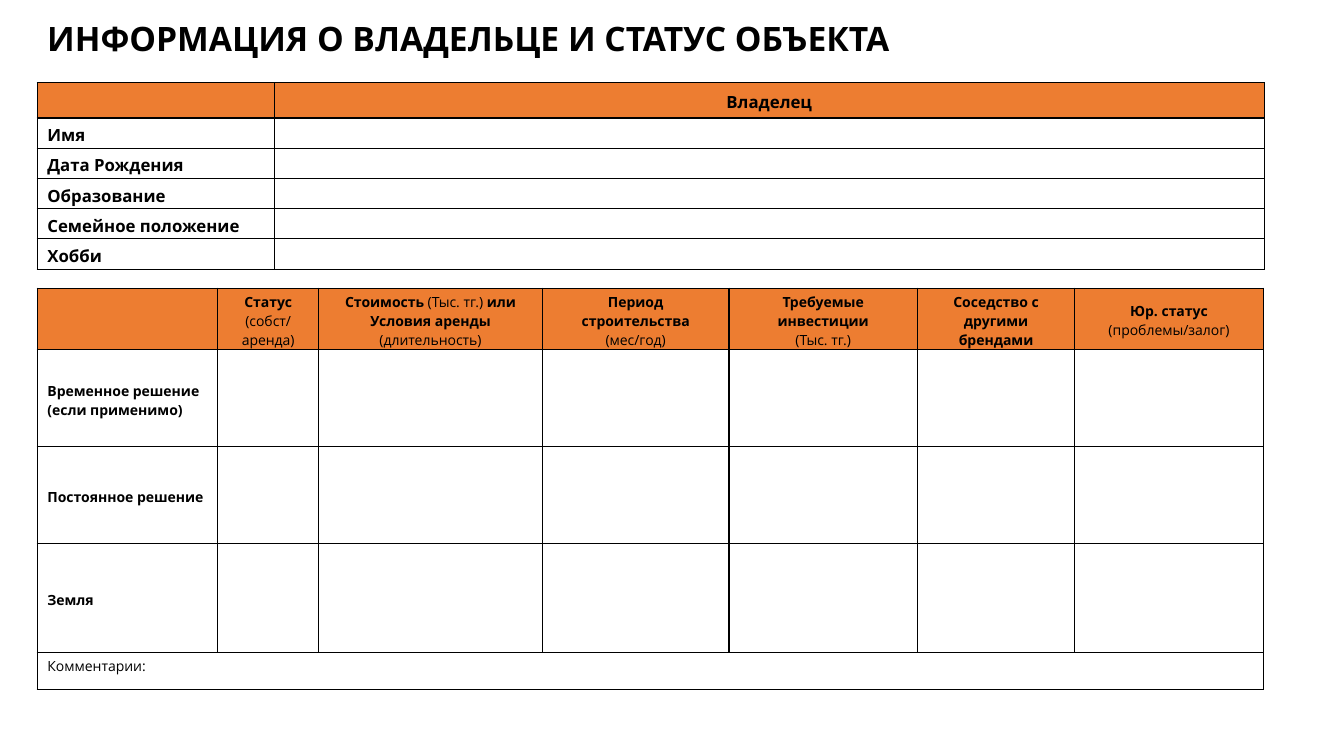
import dataclasses

import lxml.etree
import pptx
import pptx.dml.color
import pptx.enum.text
import pptx.oxml.ns
import pptx.util

Inches = pptx.util.Inches
ALIGN = pptx.enum.text.PP_ALIGN
ANCHOR = pptx.enum.text.MSO_ANCHOR
FONT = "Open Sans"
BLACK = "000000"
ORANGE = "ED7D31"
LEFT = 0.37


@dataclasses.dataclass
class Grid:
    top: float
    widths: list[float]
    heights: list[float]
    size: int
    header: list[str]
    labels: list[str]
    comment: str = ""


OWNER = Grid(
    top=0.82,
    widths=[2.35, 9.82],
    heights=[0.35] + [0.3] * 5,
    size=12,
    header=["", "**Владелец**"],
    labels=["**Имя**", "**Дата Рождения**", "**Образование**",
            "**Семейное положение**", "**Хобби**"],
)

STATUS = Grid(
    top=2.86,
    widths=[1.79, 1, 2.22, 1.85, 1.87, 1.56, 1.87],
    heights=[0.61, 0.96, 0.96, 1.08, 0.37],
    size=10,
    header=[
        "",
        "**Статус**\n(собст/\nаренда)",
        "**Стоимость **(Тыс. тг.) **или**\n**Условия аренды**\n(длительность)",
        "**Период**\n**строительства**\n(мес/год)",
        "**Требуемые**\n**инвестиции**\n(Тыс. тг.)",
        "**Соседство с**\n**другими**\n**брендами**",
        "**Юр. статус**\n(проблемы/залог)",
    ],
    labels=["**Временное решение**\n**(если применимо)**",
            "**Постоянное решение**", "**Земля**"],
    comment="Комментарии:",
)


def color(value: str) -> pptx.dml.color.RGBColor:
    return pptx.dml.color.RGBColor.from_string(value)


def write(tf, text: str, *, size: int, align=ALIGN.LEFT) -> None:
    for i, line in enumerate(text.split("\n")):
        p = tf.paragraphs[0] if i == 0 else tf.add_paragraph()
        p.alignment = align
        for j, part in enumerate(line.split("**")):
            if part:
                r = p.add_run()
                r.text = part
                r.font.name = FONT
                r.font.size = pptx.util.Pt(size)
                r.font.bold = j % 2 == 1
                r.font.color.rgb = color(BLACK)
        if not line:
            lxml.etree.SubElement(p._p, pptx.oxml.ns.qn("a:endParaRPr"), sz=str(size * 100))


def add_borders(cell, value: str, width: float) -> None:
    qn = pptx.oxml.ns.qn
    tcPr = cell._tc.get_or_add_tcPr()
    for i, side in enumerate(("lnL", "lnR", "lnT", "lnB")):
        ln = lxml.etree.Element(qn(f"a:{side}"), w=str(pptx.util.Pt(width)))
        fill = lxml.etree.SubElement(ln, qn("a:solidFill"))
        lxml.etree.SubElement(fill, qn("a:srgbClr"), val=value)
        tcPr.insert(i, ln)


def add_grid(s, grid: Grid) -> None:
    n = len(grid.widths)
    rows = [grid.header] + [[label] + [""] * (n - 1) for label in grid.labels]
    if grid.comment:
        rows.append([grid.comment] + [""] * (n - 1))
    table = s.shapes.add_table(
        len(rows), n, Inches(LEFT), Inches(grid.top),
        Inches(sum(grid.widths)), Inches(sum(grid.heights))).table
    table.first_row = False
    table.horz_banding = False
    for column, width in zip(table.columns, grid.widths):
        column.width = Inches(width)
    for i, (row, height) in enumerate(zip(rows, grid.heights)):
        table.rows[i].height = Inches(height)
        for j, text in enumerate(row):
            cell = table.cell(i, j)
            is_comment = bool(grid.comment) and i == len(rows) - 1
            cell.vertical_anchor = ANCHOR.TOP if is_comment else ANCHOR.MIDDLE
            cell.margin_top = Inches(0.04)
            cell.margin_bottom = Inches(0)
            if i == 0:
                cell.fill.solid()
                cell.fill.fore_color.rgb = color(ORANGE)
            else:
                cell.fill.background()
            add_borders(cell, BLACK, 1)
            write(cell.text_frame, text, size=grid.size,
                  align=ALIGN.CENTER if i == 0 else ALIGN.LEFT)
    if grid.comment:
        table.cell(len(rows) - 1, 0).merge(table.cell(len(rows) - 1, n - 1))


def add_title(s, text: str) -> None:
    sp = s.shapes.add_textbox(Inches(LEFT), Inches(0.13), Inches(12.74), Inches(0.5))
    tf = sp.text_frame
    tf.word_wrap = True
    write(tf, text, size=24)


def main() -> None:
    prs = pptx.Presentation()
    prs.slide_width = Inches(13.33)
    prs.slide_height = Inches(7.5)
    s = prs.slides.add_slide(prs.slide_layouts[6])
    add_title(s, "**ИНФОРМАЦИЯ О ВЛАДЕЛЬЦЕ И СТАТУС ОБЪЕКТА**")
    for grid in (OWNER, STATUS):
        add_grid(s, grid)
    prs.save("out.pptx")


if __name__ == "__main__":
    main()
